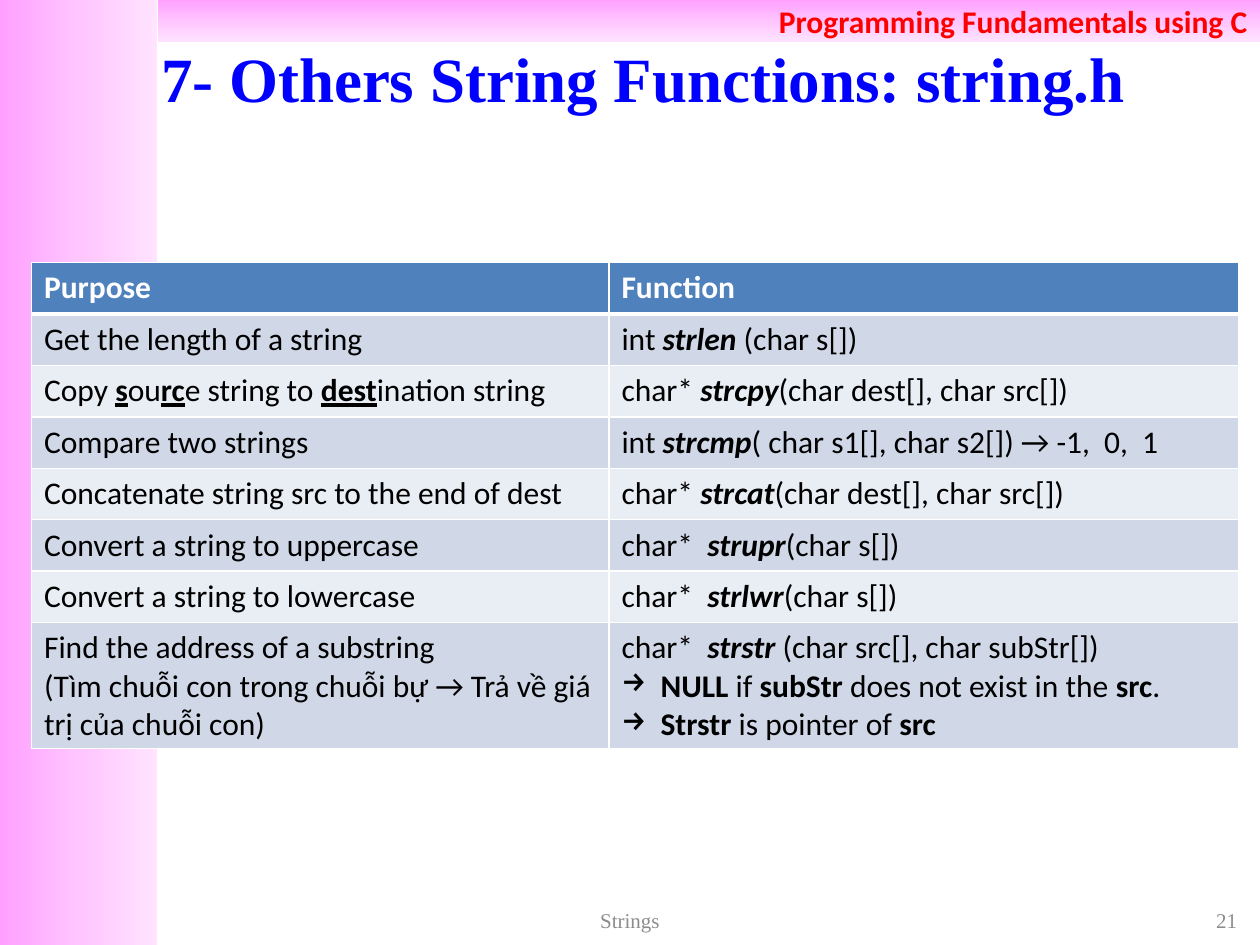
import pptx
import pptx.dml.color
import pptx.enum.shapes
import pptx.enum.text
import pptx.oxml
import pptx.oxml.ns
import pptx.util

CELL = pptx.util.Inches(10) / 120
COLORS = {
    "red": "FF0000", "blue": "0000FF", "gray": "8C8C8C", "white": "FFFFFF",
    "black": "000000", "head": "4F81BD", "odd": "D0D8E8", "even": "E9EDF4",
}
GRADIENT = {0: "FFA0FF", 50: "FFC5FF", 100: "FFE3FF"}
BAND = {"name": "Calibri", "size": 18, "color": "red", "bold": True}
TITLE = {"name": "Times New Roman", "size": 36, "color": "blue", "bold": True}
FOOTER = {"name": "Times New Roman", "size": 12, "color": "gray"}
HEAD = {"name": "Calibri", "size": 18, "color": "white", "bold": True}
BODY = {"name": "Calibri", "size": 18, "color": "black", "bold": False}
EMPHASIS = [{"bold": True, "underline": True}, {"bold": True, "italic": True}]
ROWS = [
    ("Purpose", "Function"),
    ("Get the length of a string", "int |strlen| (char s[])"),
    ("Copy |s|ou|rc|e string to |dest|ination string",
     "char* |strcpy|(char dest[], char src[])"),
    ("Compare two strings", "int |strcmp|( char s1[], char s2[]) → -1,  0,  1"),
    ("Concatenate string src to the end of dest",
     "char* |strcat|(char dest[], char src[])"),
    ("Convert a string to uppercase", "char*  |strupr|(char s[])"),
    ("Convert a string to lowercase", "char*  |strlwr|(char s[])"),
    ("Find the address of a substring\n"
     "(Tìm chuỗi con trong chuỗi bự → Trả về giá trị của chuỗi con)",
     "char*  |strstr| (char src[], char subStr[])\n"
     "→ |NULL| if |subStr| does not exist in the |src|.\n"
     "→ |Strstr |is pointer of |src|"),
]


def grid(*cells):
    """Turn grid units into whole lengths."""
    return [round(n * CELL) for n in cells]


def xml(tag, attrs="", inner=""):
    """Make one drawing element."""
    ns = pptx.oxml.ns.nsdecls("a")
    return pptx.oxml.parse_xml(f"<a:{tag} {ns} {attrs}>{inner}</a:{tag}>")


def rgb(name):
    """Look up a named colour."""
    return pptx.dml.color.RGBColor.from_string(COLORS[name])


def add_run(p, text, fmt):
    """Append a run with the given format values."""
    r = p.add_run()
    r.text = text
    for key, value in fmt.items():
        if key == "color":
            r.font.color.rgb = rgb(value)
        else:
            setattr(r.font, key, pptx.util.Pt(value) if key == "size" else value)


def write_line(tf, text, fmt, align):
    """Write one aligned line in the middle of a frame."""
    tf.word_wrap = True
    tf.vertical_anchor = pptx.enum.text.MSO_ANCHOR.MIDDLE
    p = tf.paragraphs[0]
    p.alignment = align
    add_run(p, text, fmt)


def add_text(s, box, text, fmt, align):
    """Add a one-line text box."""
    write_line(s.shapes.add_textbox(*grid(*box)).text_frame, text, fmt, align)


def add_band(s, box, angle):
    """Add a gradient rectangle."""
    sp = s.shapes.add_shape(pptx.enum.shapes.MSO_SHAPE.RECTANGLE, *grid(*box))
    sp.shadow.inherit = False
    sp.line.fill.background()
    stops = "".join(
        f'<a:gs pos="{pos * 1000}"><a:srgbClr val="{color}"/></a:gs>'
        for pos, color in GRADIENT.items())
    inner = f'<a:gsLst>{stops}</a:gsLst><a:lin ang="{angle * 60000}" scaled="0"/>'
    sp.fill.background()
    spPr = sp.element.spPr
    spPr.replace(spPr.find(pptx.oxml.ns.qn("a:noFill")), xml("gradFill", "", inner))
    return sp


def add_bullet(p):
    """Give a paragraph a hanging arrow bullet."""
    pPr = p._p.get_or_add_pPr()
    indent = pptx.util.Inches(0.31)
    pPr.set("marL", str(indent))
    pPr.set("indent", str(-indent))
    pPr.append(xml("buChar", 'char="→"'))


def add_borders(cell, bottom):
    """Draw white borders round a cell."""
    tcPr = cell._tc.get_or_add_tcPr()
    fill = f'<a:solidFill><a:srgbClr val="{COLORS["white"]}"/></a:solidFill>'
    widths = {"lnL": 1, "lnR": 1, "lnT": 1, "lnB": bottom}
    for i, (tag, width) in enumerate(widths.items()):
        tcPr.insert(i, xml(tag, f'w="{pptx.util.Pt(width)}"', fill))


def fill_cell(cell, text, fmt, emphasis, color, bottom):
    """Write marked-up text into a cell and style it."""
    cell.fill.solid()
    cell.fill.fore_color.rgb = rgb(color)
    add_borders(cell, bottom)
    tf = cell.text_frame
    for i, line in enumerate(text.split("\n")):
        p = tf.add_paragraph() if i else tf.paragraphs[0]
        strong = emphasis
        if line.startswith("→ "):
            add_bullet(p)
            line, strong = line[2:], {"bold": True}
        for j, part in enumerate(line.split("|")):
            if part:
                add_run(p, part, {**fmt, **strong} if j % 2 else fmt)


def add_function_table(s):
    """Add the table of string functions."""
    heights = grid(*[4.9] * (len(ROWS) - 1), 12)
    x, y, w = grid(3, 25, 115)
    table = s.shapes.add_table(len(ROWS), 2, x, y, w, sum(heights)).table
    for column, width in zip(table.columns, grid(55, 60)):
        column.width = width
    for i, texts in enumerate(ROWS):
        table.rows[i].height = heights[i]
        fmt = BODY if i else HEAD
        color = ("odd" if i % 2 else "even") if i else "head"
        above_header_line = 1 if i else 3
        for j, text in enumerate(texts):
            fill_cell(table.cell(i, j), text, fmt, EMPHASIS[j], color,
                      above_header_line)


def main():
    """Build the slide and save it."""
    align = pptx.enum.text.PP_ALIGN
    prs = pptx.Presentation()
    prs.slide_width, prs.slide_height = grid(120, 90)
    s = prs.slides.add_slide(prs.slide_layouts[6])
    add_band(s, (0, 0, 15, 90), 0)
    sp = add_band(s, (15, 0, 105, 4), 90)
    write_line(sp.text_frame, "Programming Fundamentals using C", BAND, align.RIGHT)
    add_text(s, (10, 3.6, 104, 7.5), "7- Others String Functions: string.h ",
             TITLE, align.CENTER)
    add_function_table(s)
    add_text(s, (91, 86, 28, 3.2), "21", FOOTER, align.RIGHT)
    add_text(s, (41, 86, 38, 3.2), "Strings", FOOTER, align.CENTER)
    prs.save("out.pptx")


if __name__ == "__main__":
    main()
